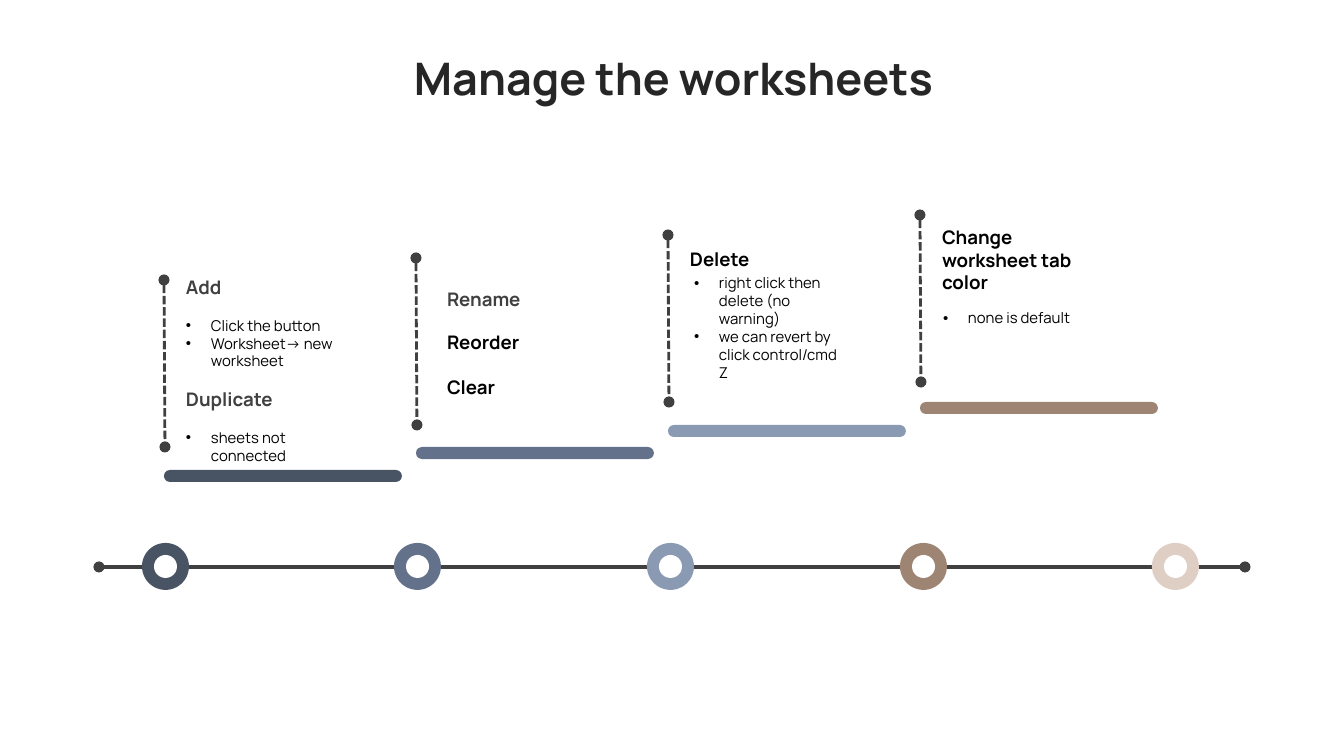
from lxml import etree
from pptx import Presentation
from pptx.dml.color import RGBColor
from pptx.enum.dml import MSO_LINE_DASH_STYLE as Dash
from pptx.enum.shapes import MSO_CONNECTOR_TYPE as Connector, MSO_SHAPE as Shape
from pptx.enum.text import MSO_ANCHOR as Anchor, MSO_AUTO_SIZE as AutoSize, PP_ALIGN as Align
from pptx.oxml.ns import qn
from pptx.util import Emu, Pt

FONT = "Manrope"
COLORS = {
    "title": "262626", "line": "404040", "text": "000000", "white": "FFFFFF",
    "navy": "485364", "slate": "63728A", "mist": "8B9AB3",
    "brown": "9E8473", "sand": "DFCEC3",
}
RING_COLORS = ["navy", "slate", "mist", "brown", "sand"]
STEM_TOPS = [280, 258, 235, 215]
STEM_HEIGHT = 167

HEADING = {"size": 10, "bold": True}
GRAY_HEADING = {**HEADING, "color": "line"}
BULLET = {"size": 8, "bullet": True}

# Each box: (left, top, width, height), then its paragraphs as (text, format).
TEXT_BOXES = [
    ((173, 269, 173, 222), [
        ("Add", GRAY_HEADING),
        ("Click the button", {**BULLET, "gap": 9.6}),
        ("Worksheet-> new worksheet", BULLET),
        ("Duplicate", {**GRAY_HEADING, "gap": 9.6}),
        ("sheets not connected", {**BULLET, "gap": 9.6}),
    ]),
    ((434, 281, 173, 124), [
        ("Rename", GRAY_HEADING),
        ("Reorder", {**HEADING, "gap": 10.8}),
        ("Clear", {**HEADING, "gap": 12}),
    ]),
    ((677, 241, 175, 38), [("Delete", HEADING)]),
    ((681, 267, 173, 176), [
        ("right click then delete (no warning)", BULLET),
        ("we can revert by click control/cmd Z", BULLET),
    ]),
    ((929, 219, 175, 82), [("Change worksheet tab color", HEADING)]),
    ((930, 302, 173, 32), [("none is default", BULLET)]),
]


def px(value):
    return Emu(round(value * 914400 / 134.4))


def rgb(name):
    return RGBColor.from_string(COLORS[name])


def add_bullet(paragraph):
    properties = paragraph._p.get_or_add_pPr()
    properties.set("marL", str(px(25)))
    properties.set("indent", str(px(-25)))
    color = etree.SubElement(properties, qn("a:buClr"))
    etree.SubElement(color, qn("a:srgbClr"), val=COLORS["text"])
    etree.SubElement(properties, qn("a:buFont"), typeface="Arial")
    etree.SubElement(properties, qn("a:buChar"), char="•")


def write_text(paragraph, text, size, color="text", bold=False, bullet=False,
               gap=0, align=Align.LEFT):
    if bullet:
        add_bullet(paragraph)
    paragraph.alignment = align
    paragraph.space_before = Pt(gap)
    run = paragraph.add_run()
    run.text = text
    run.font.name = FONT
    run.font.size = Pt(size)
    run.font.bold = bold
    run.font.color.rgb = rgb(color)


def add_text_box(slide, box, paragraphs, anchor=Anchor.TOP, auto_size=AutoSize.SHAPE_TO_FIT_TEXT):
    frame = slide.shapes.add_textbox(*map(px, box)).text_frame
    frame.word_wrap = True
    frame.auto_size = auto_size
    frame.vertical_anchor = anchor
    frame.margin_left = frame.margin_right = px(13)
    frame.margin_top = frame.margin_bottom = px(7)
    for index, (text, text_format) in enumerate(paragraphs):
        paragraph = frame.add_paragraph() if index else frame.paragraphs[0]
        write_text(paragraph, text, **text_format)


def add_filled_shape(slide, kind, box, color):
    shape = slide.shapes.add_shape(kind, *map(px, box))
    shape.shadow.inherit = False
    shape.fill.solid()
    shape.fill.fore_color.rgb = rgb(color)
    shape.line.fill.background()
    return shape


def add_dotted_end_line(slide, start, end, width, dash=None):
    """Line with a round dot at both ends."""
    connector = slide.shapes.add_connector(Connector.STRAIGHT, *map(px, start + end))
    connector.line.color.rgb = rgb("line")
    connector.line.width = Pt(width)
    if dash:
        connector.line.dash_style = dash
    line = connector.line._get_or_add_ln()
    for end_name in ("a:headEnd", "a:tailEnd"):
        etree.SubElement(line, qn(end_name), type="oval")
    etree.SubElement(connector._element.spPr, qn("a:effectLst"))


def add_ring(slide, center, color):
    add_filled_shape(slide, Shape.OVAL, (center - 24, 543, 47, 47), color)
    add_filled_shape(slide, Shape.OVAL, (center - 12, 555, 23, 23), "white")


def add_step(slide, index, stem_top):
    """Coloured bar with a dashed stem above its left end."""
    left = 164 + 252 * index
    top = 470 - round(68 * index / 3)
    bar = add_filled_shape(slide, Shape.ROUNDED_RECTANGLE, (left, top, 238, 12),
                           RING_COLORS[index])
    bar.adjustments[0] = 0.5
    add_dotted_end_line(slide, (left, stem_top), (left + 1, stem_top + STEM_HEIGHT),
                        1.5, Dash.SQUARE_DOT)


def main():
    presentation = Presentation()
    presentation.slide_width = px(1344)
    presentation.slide_height = px(756)
    slide = presentation.slides.add_slide(presentation.slide_layouts[6])

    title_format = {"size": 24, "color": "title", "bold": True, "align": Align.CENTER}
    add_text_box(slide, (36, 38, 1275, 79), [("Manage the worksheets", title_format)],
                 Anchor.MIDDLE, AutoSize.NONE)

    add_dotted_end_line(slide, (99, 567), (1245, 567), 1.75)
    for index, color in enumerate(RING_COLORS):
        add_ring(slide, 166 + round(252.5 * index), color)
    for index, stem_top in enumerate(STEM_TOPS):
        add_step(slide, index, stem_top)
    for box, paragraphs in TEXT_BOXES:
        add_text_box(slide, box, paragraphs)

    presentation.save("out.pptx")


if __name__ == "__main__":
    main()
